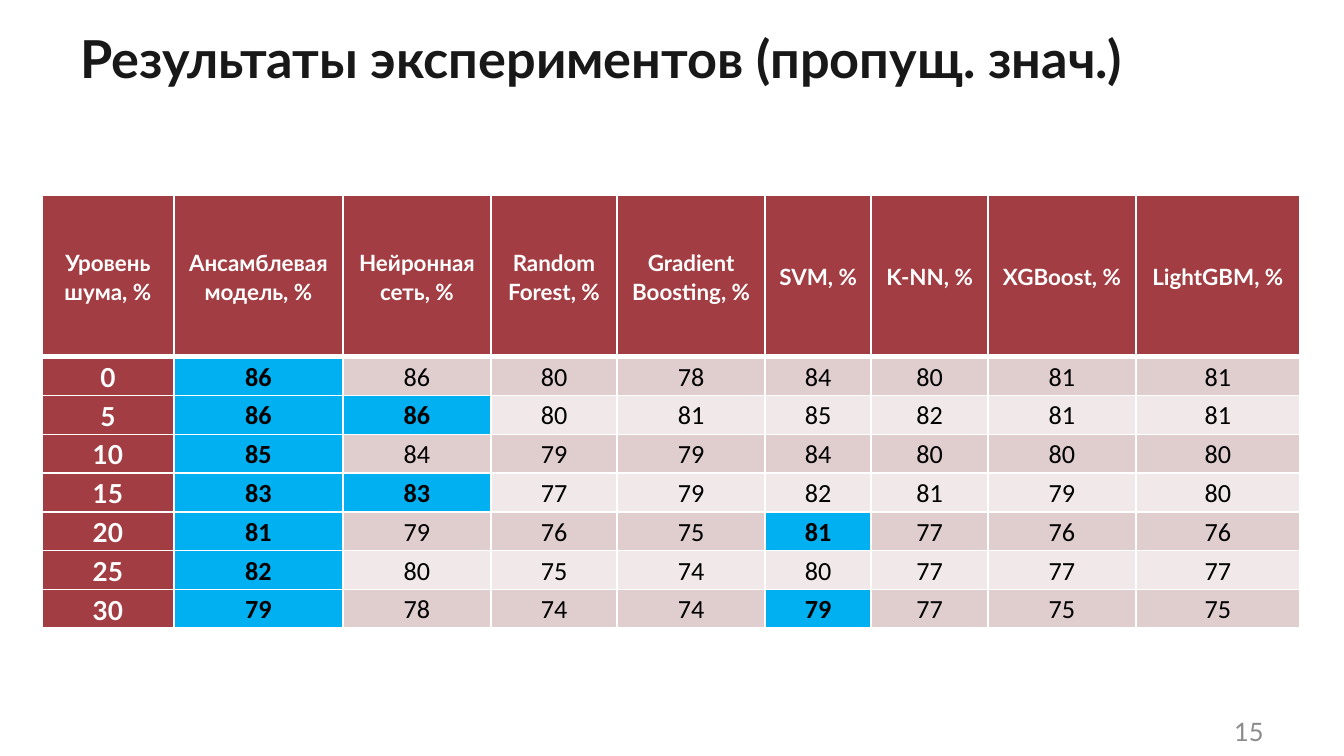
from lxml.etree import SubElement as Sub
from pptx import Presentation
from pptx.dml.color import RGBColor
from pptx.enum.text import MSO_ANCHOR as Anchor, PP_ALIGN as Align
from pptx.oxml.ns import qn
from pptx.util import Pt

TITLE = "Результаты экспериментов (пропущ. знач.)"
PAGE = "15"
HEADS = [
    ("Уровень шума, %", 70.6),
    ("Ансамблевая модель, %", 90.7),
    ("Нейронная сеть, %", 79.2),
    ("Random Forest, %", 67.7),
    ("Gradient Boosting, %", 79.2),
    ("SVM, %", 56.9),
    ("K-NN, %", 62.6),
    ("XGBoost, %", 79.2),
    ("LightGBM, %", 87.8),
]
SCORES = [
    (0, 86, 86, 80, 78, 84, 80, 81, 81),
    (5, 86, 86, 80, 81, 85, 82, 81, 81),
    (10, 85, 84, 79, 79, 84, 80, 80, 80),
    (15, 83, 83, 77, 79, 82, 81, 79, 80),
    (20, 81, 79, 76, 75, 81, 77, 76, 76),
    (25, 82, 80, 75, 74, 80, 77, 77, 77),
    (30, 79, 78, 74, 74, 79, 77, 75, 75),
]
BEST = {0: [1], 5: [1, 2], 10: [1], 15: [1, 2], 20: [1, 5], 25: [1], 30: [1, 5]}
RED, BLUE, WHITE, BLACK = "A23E43", "00B0F0", "FFFFFF", "000000"
BANDS = ["E0CECF", "F0E8E9"]
HEAD_H, ROW_H = 86.4, 20.8


def rgb(code):
    return RGBColor.from_string(code)


def add_run(para, text, size, color, bold=False, face="Lato"):
    run = para.add_run()
    run.text = text
    font = run.font
    font.name, font.size, font.bold = face, Pt(size), bold
    font.color.rgb = rgb(color)


def add_box(slide, place, text, size, color, bold, align, anchor):
    frame = slide.shapes.add_textbox(*map(Pt, place)).text_frame
    frame.word_wrap = True
    frame.vertical_anchor = anchor
    para = frame.paragraphs[0]
    para.alignment = align
    add_run(para, text, size, color, bold)


def add_edge(cell, side, width):
    line = Sub(cell._tc.get_or_add_tcPr(), qn("a:ln" + side), w=str(Pt(width)))
    Sub(Sub(line, qn("a:solidFill")), qn("a:srgbClr"), val=WHITE)


def fill_cell(cell, text, fill, edges, **style):
    for side, width in zip("LRTB", edges):
        add_edge(cell, side, width)
    cell.fill.solid()
    cell.fill.fore_color.rgb = rgb(fill)
    cell.vertical_anchor = Anchor.MIDDLE
    cell.margin_left = cell.margin_right = Pt(5)
    cell.margin_top = cell.margin_bottom = 0
    para = cell.text_frame.paragraphs[0]
    para.alignment = Align.CENTER
    para.line_spacing = 1.07
    para.space_after = Pt(8)
    add_run(para, text, **style)


def add_scores(slide):
    width = sum(w for _, w in HEADS)
    height = HEAD_H + ROW_H * len(SCORES)
    table = slide.shapes.add_table(
        len(SCORES) + 1, len(HEADS), Pt(22.5), Pt(104.7), Pt(width), Pt(height)
    ).table
    table.rows[0].height = Pt(HEAD_H)
    for col, (head, wide) in enumerate(HEADS):
        table.columns[col].width = Pt(wide)
        fill_cell(table.cell(0, col), head, RED, (1, 1, 1, 3),
                  size=12, color=WHITE, bold=True)
    for row, scores in enumerate(SCORES, 1):
        table.rows[row].height = Pt(ROW_H)
        edges = (1, 1, 3 if row == 1 else 1, 1)
        for col, score in enumerate(scores):
            best = col in BEST[scores[0]]
            if col == 0:
                fill = RED
                style = dict(color=WHITE, bold=True)
            else:
                fill = BLUE if best else BANDS[(row - 1) % 2]
                style = dict(color=BLACK, bold=best, face="Calibri")
            fill_cell(table.cell(row, col), str(score), fill, edges,
                      size=14, **style)


def main():
    deck = Presentation()
    deck.slide_width, deck.slide_height = Pt(720), Pt(405)
    slide = deck.slides.add_slide(deck.slide_layouts[6])
    add_box(slide, (36, 10.8, 648, 50.4), TITLE, 28, "181818", True,
            Align.LEFT, Anchor.TOP)
    add_box(slide, (643.7, 380.9, 40.3, 21.6), PAGE, 13.6, "8C8C8C", False,
            Align.RIGHT, Anchor.MIDDLE)
    add_scores(slide)
    deck.save("out.pptx")


if __name__ == "__main__":
    main()
